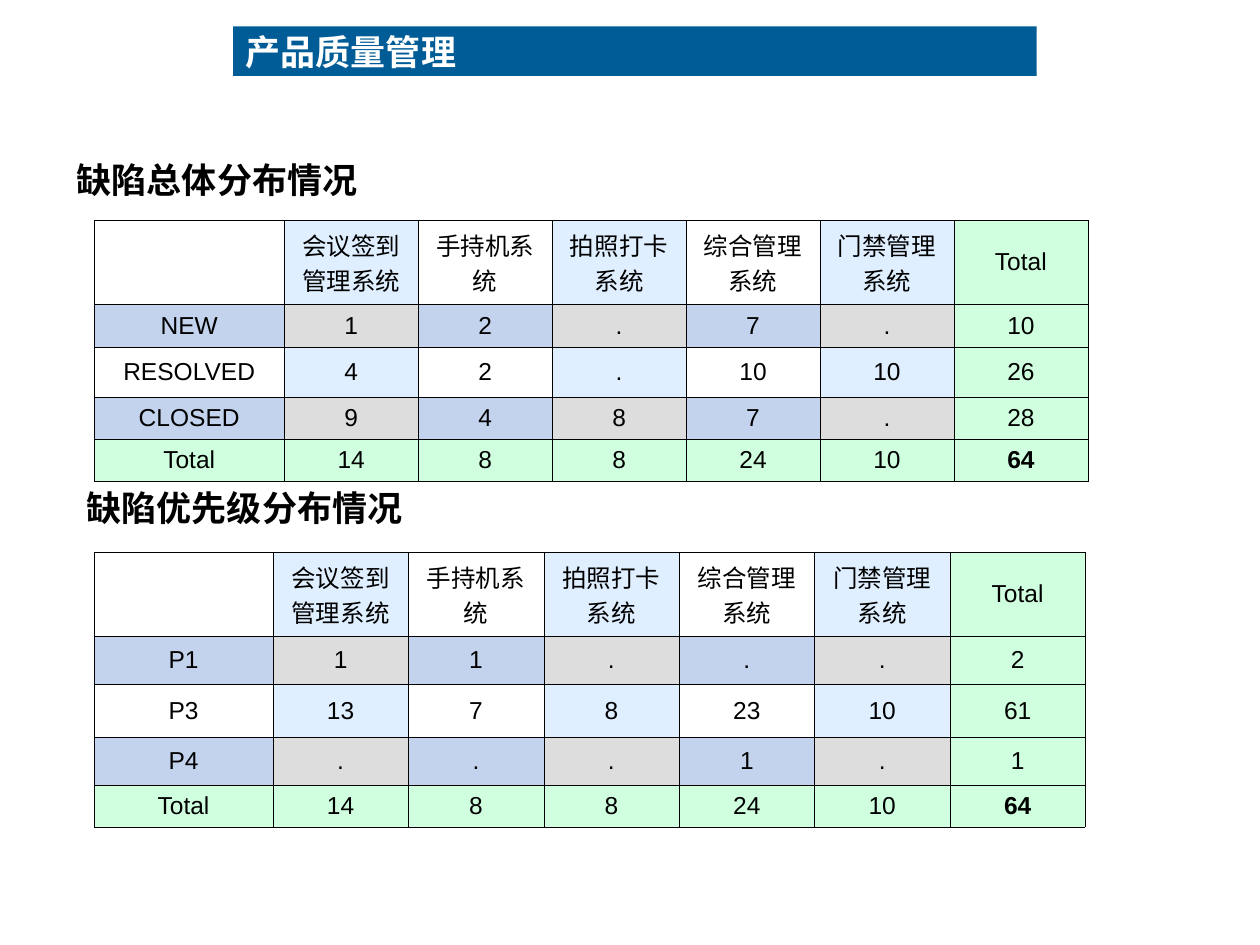
from lxml.etree import SubElement
from pptx import Presentation
from pptx.dml.color import RGBColor
from pptx.enum.text import MSO_ANCHOR, MSO_AUTO_SIZE, PP_ALIGN
from pptx.oxml.ns import qn
from pptx.util import Cm, Pt

LEFT, MID = PP_ALIGN.LEFT, PP_ALIGN.CENTER
CENTER = MSO_ANCHOR.MIDDLE
FIXED = MSO_AUTO_SIZE.NONE
FONT = "Arial"

BLACK = RGBColor(0x00, 0x00, 0x00)
WHITE = RGBColor(0xFF, 0xFF, 0xFF)
NAVY = RGBColor(0x00, 0x5C, 0x96)
SKY = RGBColor(0xDF, 0xEF, 0xFF)
BLUE = RGBColor(0xC3, 0xD3, 0xED)
GRAY = RGBColor(0xDD, 0xDD, 0xDD)
GREEN = RGBColor(0xCF, 0xFF, 0xDF)

TITLE = "产品质量管理"
HEADER = ["", "会议签到管理系统", "手持机系统", "拍照打卡系统",
          "综合管理系统", "门禁管理系统", "Total"]
TOTAL = ["Total", "14", "8", "8", "24", "10", "64"]
PARTS = [
    {
        "head": "缺陷总体分布情况", "spot": (1.3, 3.12),
        "top": 4.44, "first": 3.83, "other": 2.7, "line": 0.45,
        "tall": [1.47, 0.86, 1.01, 0.85, 0.85],
        "body": [
            ["NEW", "1", "2", ".", "7", ".", "10"],
            ["RESOLVED", "4", "2", ".", "10", "10", "26"],
            ["CLOSED", "9", "4", "8", "7", ".", "28"],
        ],
    },
    {
        "head": "缺陷优先级分布情况", "spot": (1.5, 9.73),
        "top": 11.13, "first": 3.6, "other": 2.73, "line": 0.06,
        "tall": [1.45, 0.97, 1.06, 0.97, 0.85],
        "body": [
            ["P1", "1", "1", ".", ".", ".", "2"],
            ["P3", "13", "7", "8", "23", "10", "61"],
            ["P4", ".", ".", ".", "1", ".", "1"],
        ],
    },
]


def write(frame, text, size, color, bold, align):
    para = frame.paragraphs[0]
    para.alignment = align
    run = para.add_run()
    run.text = text
    run.font.name = FONT
    run.font.size = Pt(size)
    run.font.bold = bold
    run.font.color.rgb = color


def place(shape, left, top):
    shape.left, shape.top = Cm(left), Cm(top)
    shape.width, shape.height = Cm(16.2), Cm(1)


def label(shape, text, color):
    frame = shape.text_frame
    frame.word_wrap = True
    frame.auto_size = FIXED
    frame.vertical_anchor = CENTER
    write(frame, text, 20, color, True, LEFT)


def border(cell, width):
    props = cell._tc.get_or_add_tcPr()
    for side in ("a:lnL", "a:lnR", "a:lnT", "a:lnB"):
        line = SubElement(props, qn(side), w=str(Pt(width)))
        fill = SubElement(line, qn("a:solidFill"))
        SubElement(fill, qn("a:srgbClr"), val=str(BLACK))


def shade(row, col, last_row, last_col):
    if row == last_row or col == last_col:
        return GREEN
    even, odd = (BLUE, GRAY) if row % 2 else (WHITE, SKY)
    return odd if col % 2 else even


def add_grid(slide, part):
    data = [HEADER] + part["body"] + [TOTAL]
    last_row, last_col = len(data) - 1, len(HEADER) - 1
    wide = [part["first"]] + [part["other"]] * last_col
    tall = part["tall"]
    grid = slide.shapes.add_table(
        len(data), len(HEADER), Cm(1.9), Cm(part["top"]),
        Cm(sum(wide)), Cm(sum(tall))).table
    grid.first_row = grid.horz_banding = False
    for col, width in zip(grid.columns, wide):
        col.width = Cm(width)
    for row, height in zip(grid.rows, tall):
        row.height = Cm(height)
    for r, texts in enumerate(data):
        for c, text in enumerate(texts):
            cell = grid.cell(r, c)
            border(cell, part["line"])
            cell.fill.solid()
            cell.fill.fore_color.rgb = shade(r, c, last_row, last_col)
            cell.vertical_anchor = CENTER
            if text:
                bold = r == last_row and c == last_col
                write(cell.text_frame, text, 14, BLACK, bold, MID)


def main():
    deck = Presentation()
    deck.slide_width, deck.slide_height = Cm(25.4), Cm(19.05)
    slide = deck.slides.add_slide(deck.slide_layouts[5])
    title = slide.shapes.title
    place(title, 4.7, 0.53)
    title.fill.solid()
    title.fill.fore_color.rgb = NAVY
    label(title, TITLE, WHITE)
    for part in PARTS:
        box = slide.shapes.add_textbox(0, 0, 0, 0)
        place(box, *part["spot"])
        label(box, part["head"], BLACK)
        add_grid(slide, part)
    deck.save("out.pptx")


if __name__ == "__main__":
    main()
